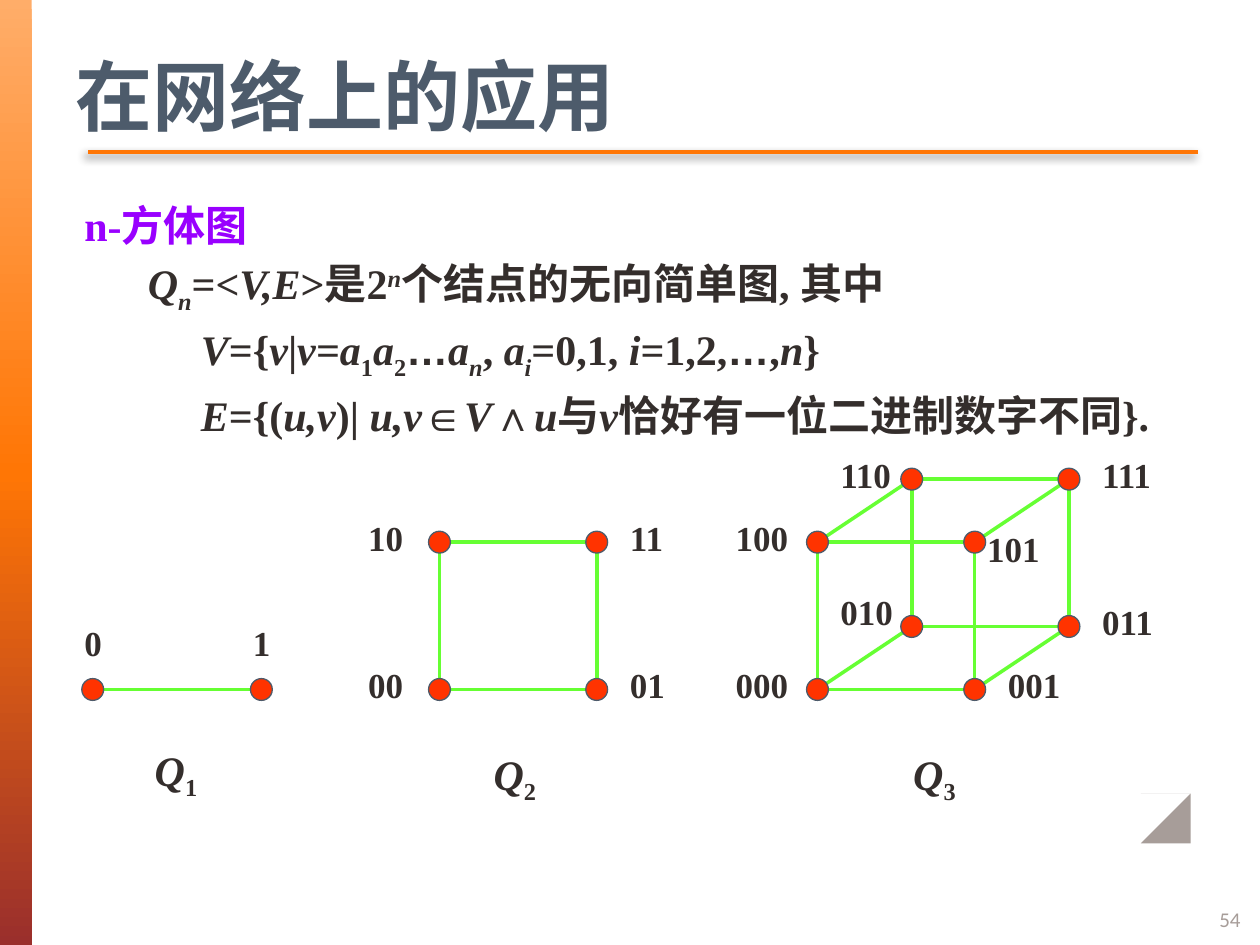
"""Build the slide on n-cube graphs Q1, Q2 and Q3 as network layouts."""
from copy import deepcopy
from dataclasses import dataclass
from itertools import combinations, product
from math import hypot

from lxml.etree import SubElement
from pptx import Presentation
from pptx.dml.color import RGBColor
from pptx.enum.shapes import MSO_CONNECTOR, MSO_SHAPE
from pptx.enum.text import MSO_ANCHOR
from pptx.oxml.ns import qn
from pptx.util import Cm, Pt


@dataclass(frozen=True)
class Theme:
    orange: RGBColor = RGBColor.from_string("FF7605")
    peach: RGBColor = RGBColor.from_string("FFAD69")
    brick: RGBColor = RGBColor.from_string("9A2F2C")
    slate: RGBColor = RGBColor.from_string("4D5B6B")
    grey: RGBColor = RGBColor.from_string("A79D99")
    ink: RGBColor = RGBColor.from_string("342E2C")
    purple: RGBColor = RGBColor.from_string("9900FF")
    red: RGBColor = RGBColor.from_string("FF3300")
    green: RGBColor = RGBColor.from_string("66FF33")
    serif: str = "Times New Roman"
    sans: str = "Calibri"
    dots: str = "Arial"
    title: Pt = Pt(44)
    body: Pt = Pt(24)
    label: Pt = Pt(20)
    number: Pt = Pt(12)


theme = Theme()
deck = Presentation()
deck.slide_width, deck.slide_height = Cm(25.4), Cm(19.05)
page = deck.slides.add_slide(deck.slide_layouts[6])


def add_text(left, top, width, height, lines, size, color=theme.ink, name=theme.serif, bold=True):
    """Add a text box; lines hold (left margin, colour, runs), runs hold (text, marks)."""
    box = page.shapes.add_textbox(Cm(left), Cm(top), Cm(width), Cm(height))
    frame = box.text_frame
    frame.word_wrap = True
    for index, (margin, line_color, runs) in enumerate(lines):
        para = frame.add_paragraph() if index else frame.paragraphs[0]
        if index:
            para.space_before = Pt(4.8)
        if margin:
            para._p.get_or_add_pPr().set("marL", str(Cm(margin)))
        para.font.size, para.font.name, para.font.bold = size, name, bold
        para.font.color.rgb = line_color or color
        for text, marks in runs:
            span = para.add_run()
            span.text = text
            if "i" in marks:
                span.font.italic = True
            if "a" in marks:
                span.font.name = theme.dots
            for mark, shift in (("_", "-25000"), ("^", "30000")):
                if mark in marks:
                    span._r.get_or_add_rPr().set("baseline", shift)
    return frame


def add_line(start, end, color, width):
    """Add a straight line without the default shadow and return its effect list."""
    line = page.shapes.add_connector(MSO_CONNECTOR.STRAIGHT, *map(Cm, (*start, *end)))
    line.line.color.rgb, line.line.width = color, Pt(width)
    return SubElement(line._element.spPr, qn("a:effectLst"))


band = page.shapes.add_shape(MSO_SHAPE.RECTANGLE, 0, 0, Cm(0.64), deck.slide_height)
band.shadow.inherit = False
band.line.fill.background()
band.fill.gradient()
band.fill.gradient_angle = 270
stop_list = band._element.spPr.find(qn("a:gradFill")).find(qn("a:gsLst"))
stop_list.append(deepcopy(stop_list[0]))
for stop, position, color in zip(
    band.fill.gradient_stops, (0, 0.5, 1), (theme.peach, theme.orange, theme.brick)
):
    stop.position, stop.color.rgb = position, color

corners = [(23.75, 15.88), (23.47, 15.88), (23.88, 16.48), (23.47, 17.07), (23.75, 17.07), (24.16, 16.48)]
outline = page.shapes.build_freeform(*corners[0], scale=Cm(1))
outline.add_line_segments(corners[1:], close=True)
chevron = outline.convert_to_shape()
chevron.shadow.inherit = False
chevron.fill.solid()
chevron.fill.fore_color.rgb = theme.grey
chevron.line.fill.background()

effects = add_line((1.78, 3.07), (24.16, 3.07), theme.orange, 2.5)
shadow = SubElement(
    effects, qn("a:outerShdw"), blurRad=str(Pt(5)), dist=str(Pt(3)), dir="8100000", rotWithShape="0"
)
shade = SubElement(shadow, qn("a:srgbClr"), val="000000")
SubElement(shade, qn("a:alpha"), val="45000")

title = add_text(1.27, 0.91, 22.86, 2.01, [(0, None, [("在网络上的应用", "")])],
                 theme.title, theme.slate, theme.sans)
title.vertical_anchor = MSO_ANCHOR.MIDDLE

definition = [
    (0, theme.purple, [("n-方体图", "")]),
    (1.28, None, [
        ("Q", "i"), ("n", "i_"), ("=<", ""), ("V,E", "i"), (">是2", ""), ("n", "i^"),
        ("个结点的无向简单图, 其中", ""),
    ]),
    (2.35, None, [
        ("V", "i"), ("={", ""), ("v", "i"), ("|", ""), ("v=a", "i"), ("1", "_"), ("a", "i"),
        ("2", "_"), ("…", "a"), ("a", "i"), ("n", "i_"), (", ", ""), ("a", "i"), ("i", "i_"),
        ("=0,1, ", ""), ("i", "i"), ("=1,2,", ""), ("…", "a"), (",", ""), ("n", "i"), ("}", ""),
    ]),
    (2.35, None, [
        ("E", "i"), ("={(", ""), ("u,v", "i"), (")| ", ""), ("u,v", "i"), ("∈", ""), ("V", "i"),
        ("∧", ""), ("u", "i"), ("与", ""), ("v", "i"), ("恰好有一位二进制数字不同}.", ""),
    ]),
]
add_text(1.45, 3.89, 23.09, 7.82, definition, theme.body)

radius = 0.22
base_y = 13.9
right, up, back = (3.17, 0), (0, -2.97), (1.9, -1.27)
beside_left, beside_right = (-1.69, -0.64), (0.42, -0.64)
far_left, above = (-1.9, -0.64), (-0.42, -1.49)
cubes = [
    (1.87, [(3.4, 0)], (2.87, 14.88), {"0": above, "1": above}),
    (8.86, [up, right], (9.7, 14.96),
     {"00": beside_left, "10": beside_left, "01": beside_right, "11": beside_right}),
    (16.48, [up, back, right], (18.16, 14.96),
     {"000": far_left, "100": far_left, "001": beside_right, "101": (0, -0.42),
      "010": (-1.69, -0.85), "110": beside_left, "011": beside_right, "111": beside_right}),
]

for dimension, (base_x, axes, caption, offsets) in enumerate(cubes, 1):
    nodes = {}
    for bits in product((0, 1), repeat=dimension):
        x = base_x + sum(bit * axis[0] for bit, axis in zip(bits, axes))
        y = base_y + sum(bit * axis[1] for bit, axis in zip(bits, axes))
        nodes["".join(map(str, bits))] = (x, y)
    for (code, (x, y)), (other, (end_x, end_y)) in combinations(nodes.items(), 2):
        if sum(a != b for a, b in zip(code, other)) == 1:
            length = hypot(end_x - x, end_y - y)
            trim_x, trim_y = (radius * (end_x - x) / length, radius * (end_y - y) / length)
            add_line((x + trim_x, y + trim_y), (end_x - trim_x, end_y - trim_y), theme.green, 2)
    for code, (x, y) in nodes.items():
        node = page.shapes.add_shape(
            MSO_SHAPE.FLOWCHART_CONNECTOR, Cm(x - radius), Cm(y - radius), Cm(2 * radius), Cm(2 * radius)
        )
        node.shadow.inherit = False
        node.fill.solid()
        node.fill.fore_color.rgb = theme.red
        node.line.color.rgb, node.line.width = theme.slate, Pt(0.75)
        shift_x, shift_y = offsets[code]
        add_text(x + shift_x, y + shift_y, 1.9, 1.09, [(0, None, [(code, "")])], theme.label)
    add_text(*caption, 1.9, 1.27, [(0, None, [("Q", "i"), (str(dimension), "_")])], theme.body)

number = add_text(24.33, 18.01, 1.07, 1.02, [(0, None, [("54", "")])],
                  theme.number, theme.grey, theme.sans, False)
number.vertical_anchor = MSO_ANCHOR.MIDDLE

deck.save("out.pptx")
